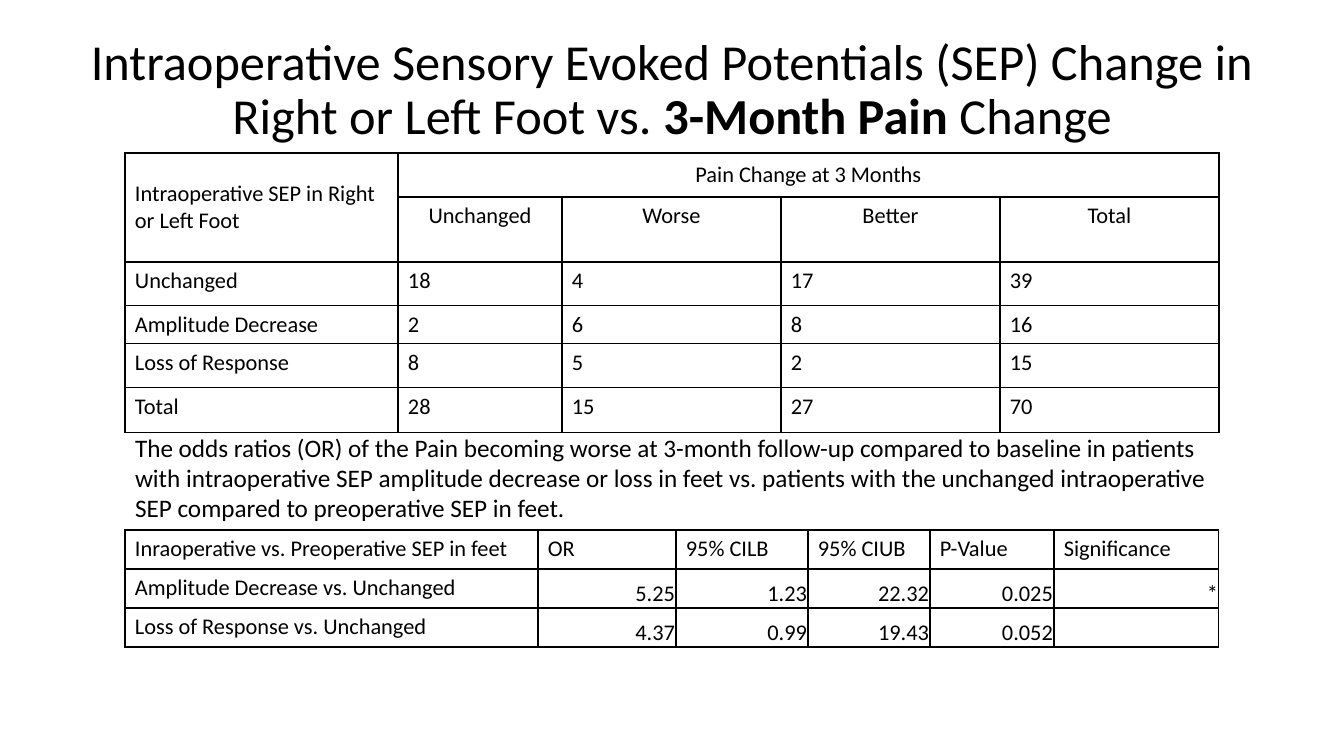
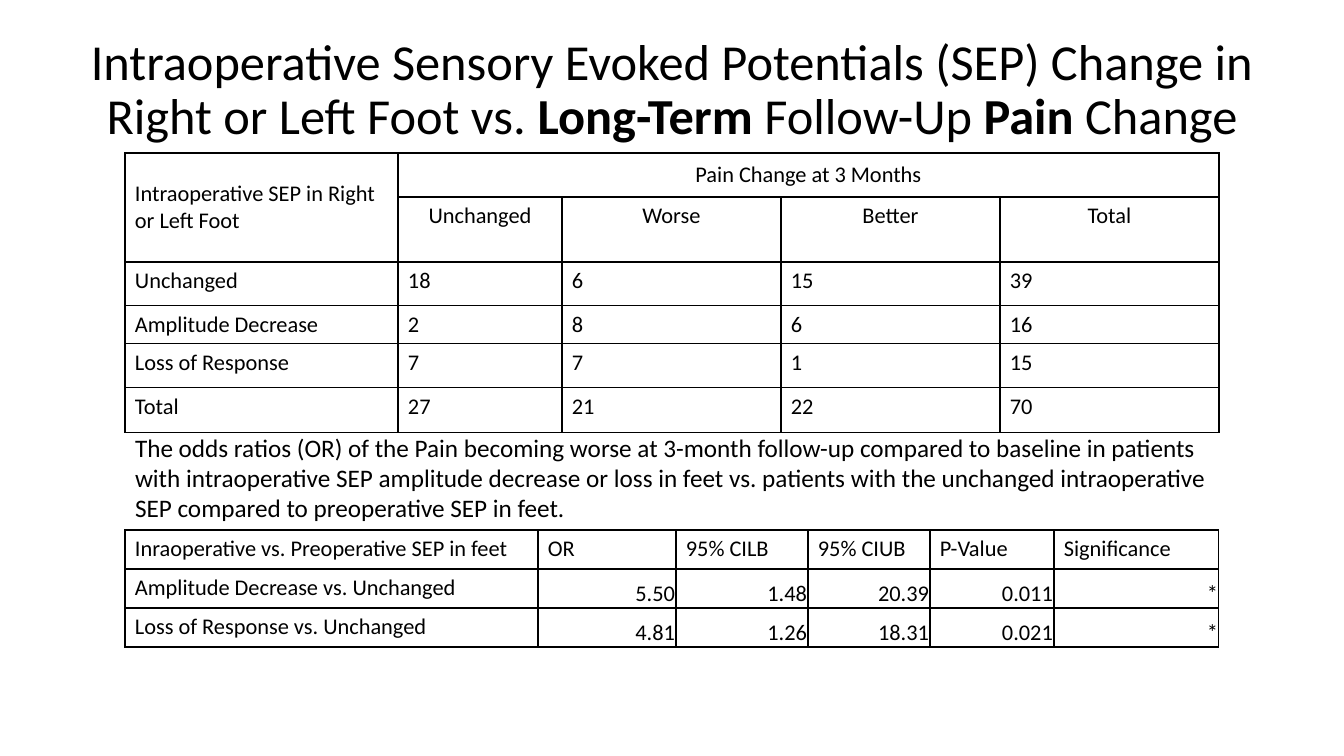
from dataclasses import dataclass
from itertools import product

from lxml.etree import SubElement
from pptx import Presentation
from pptx.dml.color import RGBColor
from pptx.enum.text import MSO_ANCHOR as Anchor, PP_ALIGN as Align
from pptx.oxml.ns import qn
from pptx.util import Pt

PX = 914400 / 100.8


@dataclass(frozen=True)
class Theme:
    font: str = "Calibri"
    ink: str = "000000"
    title: int = 36
    body: int = 18
    cell: int = 16
    border: int = 1


THEME = Theme()

# Regions as left, top, width, height
TITLE_BOX = (75, 29, 1194, 124)
COUNTS_BOX = (125, 153, 1094, 280)
NOTE_BOX = (125, 427, 1094, 102)
ODDS_BOX = (125, 530, 1094, 117)

COUNT_COLUMNS = (273, 164, 219, 219, 219)
COUNT_ROWS = (44, 65, 44, 38, 44, 45)
ODDS_COLUMNS = (413, 138, 132, 122, 124, 165)

# Wording shared by the slides; ** switches bold on and off
TITLE_START = ("Intraoperative Sensory Evoked Potentials (SEP) Change in "
               "Right or Left Foot vs. ")
OUTCOMES = ("Unchanged", "Worse", "Better", "Total")
RESPONSES = ("Unchanged", "Amplitude Decrease", "Loss of Response", "Total")
ODDS_HEADINGS = ("Inraoperative vs. Preoperative SEP in feet", "OR", "95% CILB",
                 "95% CIUB", "P-Value", "Significance")
COMPARISONS = ("Amplitude Decrease vs. Unchanged", "Loss of Response vs. Unchanged")
NOTE = ("The odds ratios (OR) of the Pain becoming worse at 3-month follow-up "
        "compared to baseline in patients with intraoperative SEP amplitude "
        "decrease or loss in feet vs. patients with the unchanged intraoperative "
        "SEP compared to preoperative SEP in feet.")

FOLLOW_UPS = (
    {"ending": "**3-Month Pain **Change",
     "counts": ((18, 4, 17, 39), (2, 6, 8, 16), (8, 5, 2, 15), (28, 15, 27, 70)),
     "odds": (("5.25", "1.23", "22.32", "0.025", "*"),
              ("4.37", "0.99", "19.43", "0.052", ""))},
    {"ending": "**Long-Term **Follow-Up **Pain **Change",
     "counts": ((18, 6, 15, 39), (2, 8, 6, 16), (7, 7, 1, 15), (27, 21, 22, 70)),
     "odds": (("5.50", "1.48", "20.39", "0.011", "*"),
              ("4.81", "1.26", "18.31", "0.021", "*"))},
)


def emu(pixels):
    return round(pixels * PX)


def write(holder, frame, text, size=THEME.cell, align=Align.LEFT,
          anchor=Anchor.TOP, insets=(10, 5, 10, 5), spacing=None):
    """Format text; holder (a cell or a frame) carries anchor and margins."""
    holder.vertical_anchor = anchor
    (holder.margin_left, holder.margin_top,
     holder.margin_right, holder.margin_bottom) = map(emu, insets)
    paragraph = frame.paragraphs[0]
    paragraph.alignment = align
    paragraph.line_spacing = spacing
    for order, part in enumerate(text.split("**")):
        run = paragraph.add_run()
        run.text = part
        run.font.name = THEME.font
        run.font.size = Pt(size)
        run.font.bold = order % 2 == 1
        run.font.color.rgb = RGBColor.from_string(THEME.ink)


def write_cell(cell, text, **style):
    write(cell, cell.text_frame, text, **style)


def add_text(slide, box, text, **style):
    frame = slide.shapes.add_textbox(*map(emu, box)).text_frame
    frame.word_wrap = True
    write(frame, frame, text, **style)


def outline(cell):
    properties = cell._tc.get_or_add_tcPr()
    for position, side in enumerate(("lnL", "lnR", "lnT", "lnB")):
        line = SubElement(properties, qn(f"a:{side}"), w=str(Pt(THEME.border)))
        ink = SubElement(SubElement(line, qn("a:solidFill")), qn("a:srgbClr"))
        ink.set("val", THEME.ink)
        properties.insert(position, line)


def add_grid(slide, box, columns, rows):
    grid = slide.shapes.add_table(len(rows), len(columns), *map(emu, box)).table
    grid.first_row = grid.horz_banding = False
    for column, width in zip(grid.columns, columns):
        column.width = emu(width)
    for row, height in zip(grid.rows, rows):
        row.height = emu(height)
    for row, column in product(range(len(rows)), range(len(columns))):
        cell = grid.cell(row, column)
        cell.fill.background()
        outline(cell)
    return grid


def add_counts(slide, box, counts):
    grid = add_grid(slide, box, COUNT_COLUMNS, COUNT_ROWS)
    # Merged headings
    grid.cell(0, 0).merge(grid.cell(1, 0))
    grid.cell(0, 1).merge(grid.cell(0, len(OUTCOMES)))
    write_cell(grid.cell(0, 0), "Intraoperative SEP in Right or Left Foot",
               anchor=Anchor.MIDDLE)
    write_cell(grid.cell(0, 1), "Pain Change at 3 Months",
               align=Align.CENTER, anchor=Anchor.MIDDLE)
    for column, outcome in enumerate(OUTCOMES, 1):
        write_cell(grid.cell(1, column), outcome, align=Align.CENTER)
    # Patients by response
    for row, (response, patients) in enumerate(zip(RESPONSES, counts), 2):
        for column, entry in enumerate((response, *patients)):
            write_cell(grid.cell(row, column), str(entry))


def add_odds(slide, box, odds):
    row_height = box[3] // (len(odds) + 1)
    grid = add_grid(slide, box, ODDS_COLUMNS, [row_height] * (len(odds) + 1))
    for column, heading in enumerate(ODDS_HEADINGS):
        write_cell(grid.cell(0, column), heading)
    # Estimates by comparison
    for row, (comparison, estimates) in enumerate(zip(COMPARISONS, odds), 1):
        write_cell(grid.cell(row, 0), comparison)
        for column, estimate in enumerate(estimates, 1):
            write_cell(grid.cell(row, column), estimate, align=Align.RIGHT,
                       anchor=Anchor.BOTTOM, insets=(1, 1, 1, 0))


def add_follow_up(deck, ending, counts, odds):
    slide = deck.slides.add_slide(deck.slide_layouts[6])
    add_text(slide, TITLE_BOX, TITLE_START + ending, size=THEME.title,
             align=Align.CENTER, anchor=Anchor.MIDDLE, spacing=0.9)
    add_counts(slide, COUNTS_BOX, counts)
    add_text(slide, NOTE_BOX, NOTE, size=THEME.body)
    add_odds(slide, ODDS_BOX, odds)


deck = Presentation()
deck.slide_width, deck.slide_height = emu(1344), emu(756)
for follow_up in FOLLOW_UPS:
    add_follow_up(deck, **follow_up)
deck.save("out.pptx")
